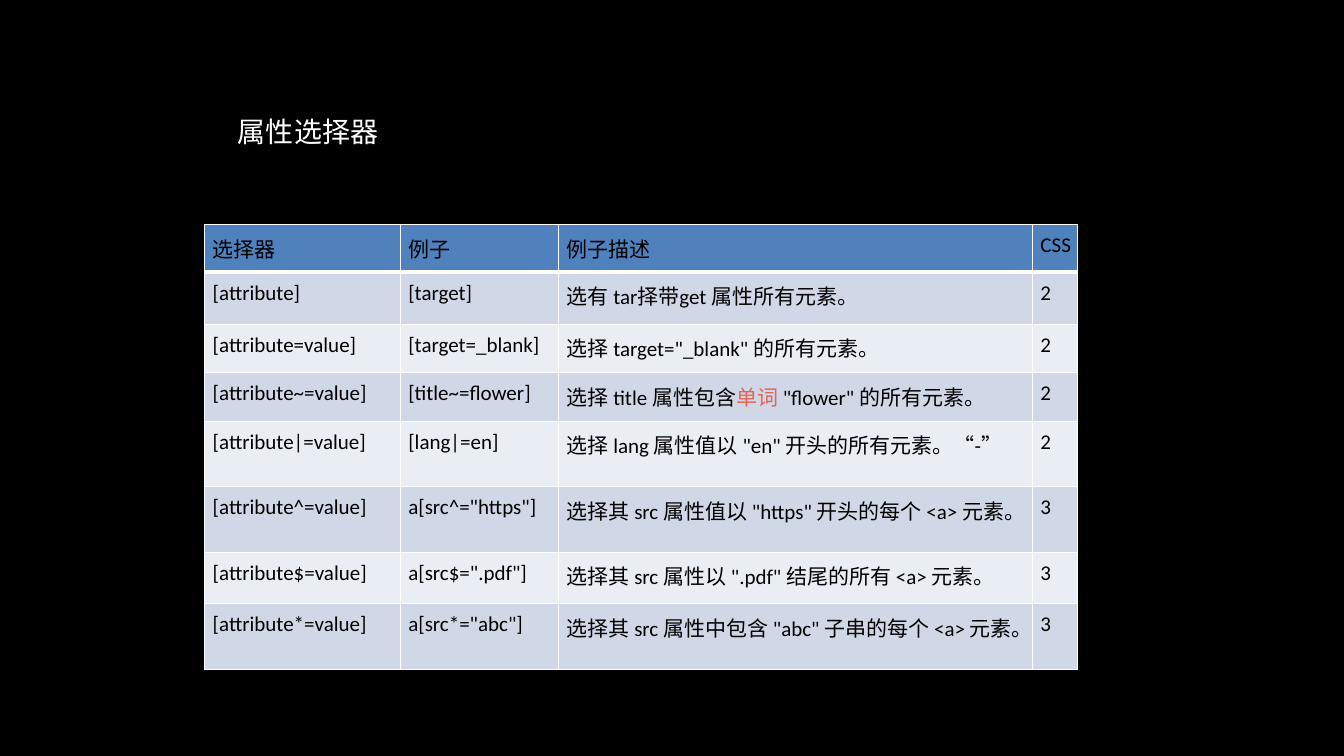
from dataclasses import dataclass

from lxml import etree
from pptx import Presentation
from pptx import util as u
from pptx.dml import color
from pptx.enum import text
from pptx.oxml import ns

COLORS = {
    "background": "000000",
    "title": "FFFFFF",
    "ink": "000000",
    "accent": "E46254",
    "header": "4F81BD",
    "odd": "D0D8E8",
    "even": "E9EDF4",
    "border": "FFFFFF",
}
TITLE_BOX = {
    "left": u.Inches(2.26),
    "top": u.Inches(1.07),
    "width": u.Inches(2.44),
    "height": u.Inches(0.46),
}
TITLE_FRAME = {
    "word_wrap": True,
    "auto_size": text.MSO_AUTO_SIZE.SHAPE_TO_FIT_TEXT,
    "vertical_anchor": text.MSO_ANCHOR.MIDDLE,
}
TITLE_FONT = {"name": "Arial", "size": u.Pt(20)}
CELL_FORMAT = {
    "margin_left": u.Inches(0.08),
    "margin_top": u.Inches(0.08),
    "margin_right": u.Inches(0.03),
    "margin_bottom": u.Inches(0.07),
    "vertical_anchor": text.MSO_ANCHOR.TOP,
}
CELL_FONT = {"name": "Calibri", "size": u.Pt(15), "bold": False}
COLUMN_WIDTHS = (1.94, 1.57, 4.7, 0.45)


@dataclass(frozen=True)
class Span:
    text: str
    color: str = "ink"


@dataclass(frozen=True)
class SelectorRow:
    height: float
    selector: str
    example: str
    description: tuple[Span, ...]
    css: str

    def cells(self) -> list[tuple[Span, ...]]:
        return [(Span(self.selector),), (Span(self.example),), self.description, (Span(self.css),)]


ROWS = (
    SelectorRow(0.47, "选择器", "例子", (Span("例子描述"),), "CSS"),
    SelectorRow(0.52, "[attribute]", "[target]", (Span("选有 tar择带get 属性所有元素。"),), "2"),
    SelectorRow(0.48, "[attribute=value]", "[target=_blank]",
                (Span('选择 target="_blank" 的所有元素。'),), "2"),
    SelectorRow(0.48, "[attribute~=value]", "[title~=flower]",
                (Span("选择 title 属性包含"), Span("单词 ", "accent"), Span('"flower" 的所有元素。')), "2"),
    SelectorRow(0.42, "[attribute|=value]", "[lang|=en]",
                (Span('选择 lang 属性值以 "en" 开头的所有元素。“-”'),), "2"),
    SelectorRow(0.51, "[attribute^=value]", 'a[src^="https"]',
                (Span('选择其 src 属性值以 "https" 开头的每个 <a> 元素。'),), "3"),
    SelectorRow(0.51, "[attribute$=value]", 'a[src$=".pdf"]',
                (Span('选择其 src 属性以 ".pdf" 结尾的所有 <a> 元素。'),), "3"),
    SelectorRow(0.53, "[attribute*=value]", 'a[src*="abc"]',
                (Span('选择其 src 属性中包含 "abc" 子串的每个 <a> 元素。'),), "3"),
)


def apply_format(target, values: dict) -> None:
    for name, value in values.items():
        setattr(target, name, value)


def rgb(name: str) -> color.RGBColor:
    return color.RGBColor.from_string(COLORS[name])


def add_spans(p, spans: tuple[Span, ...], font: dict) -> None:
    p.alignment = text.PP_ALIGN.LEFT
    for span in spans:
        r = p.add_run()
        r.text = span.text
        apply_format(r.font, font)
        r.font.color.rgb = rgb(span.color)


def set_borders(cell, row: int) -> None:
    tc_pr = cell._tc.get_or_add_tcPr()
    points = {"lnL": 1, "lnR": 1, "lnT": 3 if row == 1 else 1, "lnB": 3 if row == 0 else 1}
    for tag, width in points.items():
        ln = etree.SubElement(tc_pr, ns.qn(f"a:{tag}"), w=str(u.Pt(width)))
        fill = etree.SubElement(ln, ns.qn("a:solidFill"))
        etree.SubElement(fill, ns.qn("a:srgbClr"), val=COLORS["border"])


def fill_name(row: int) -> str:
    if row == 0:
        return "header"
    return "odd" if row % 2 else "even"


def add_title(slide) -> None:
    sp = slide.shapes.title
    apply_format(sp, TITLE_BOX)
    tf = sp.text_frame
    apply_format(tf, TITLE_FRAME)
    add_spans(tf.paragraphs[0], (Span("属性选择器", "title"),), TITLE_FONT)


def add_selector_table(slide) -> None:
    table = slide.shapes.add_table(
        len(ROWS), len(COLUMN_WIDTHS), u.Inches(2.03), u.Inches(2.23),
        u.Inches(sum(COLUMN_WIDTHS)), u.Inches(sum(row.height for row in ROWS)),
    ).table
    for column, width in zip(table.columns, COLUMN_WIDTHS):
        column.width = u.Inches(width)
    for i, row in enumerate(ROWS):
        table.rows[i].height = u.Inches(row.height)
        for j, spans in enumerate(row.cells()):
            cell = table.cell(i, j)
            apply_format(cell, CELL_FORMAT)
            set_borders(cell, i)
            cell.fill.solid()
            cell.fill.fore_color.rgb = rgb(fill_name(i))
            add_spans(cell.text_frame.paragraphs[0], spans, CELL_FONT)


def main() -> None:
    prs = Presentation()
    prs.slide_width = u.Inches(13.33)
    prs.slide_height = u.Inches(7.5)
    slide = prs.slides.add_slide(prs.slide_layouts.get_by_name("Title Only"))
    slide.background.fill.solid()
    slide.background.fill.fore_color.rgb = rgb("background")
    add_title(slide)
    add_selector_table(slide)
    prs.save("out.pptx")


if __name__ == "__main__":
    main()
